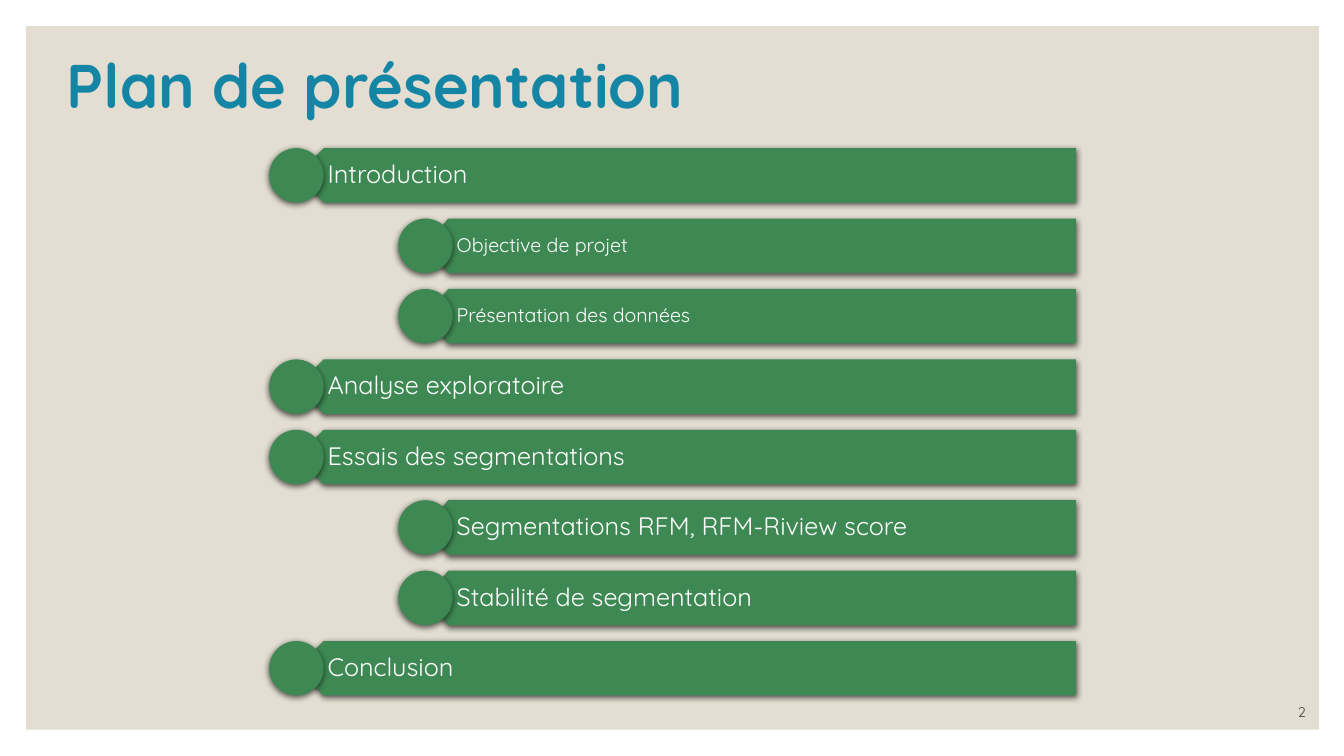
from lxml import etree
from pptx import Presentation, util as u
from pptx.dml.color import RGBColor
from pptx.enum import shapes, text
from pptx.oxml.ns import qn

FONT = "Quicksand"
SAND = RGBColor(0xE3, 0xDE, 0xD1)
BLUE = RGBColor(0x14, 0x85, 0xA4)
GREEN = RGBColor(0x3E, 0x88, 0x53)
GREY = RGBColor(0x40, 0x40, 0x40)
WHITE = RGBColor(0xFF, 0xFF, 0xFF)

BAR_HEIGHT = 0.54
INDENT = 1.28  # step from one outline level to the next
TIP_SHARE = 0.035  # depth of a bar's pointed end, as a share of its width

# Level, wording, text size
OUTLINE = [
    (0, "Introduction", 18),
    (1, "Objective de projet", 14),
    (1, "Présentation des données", 14),
    (0, "Analyse exploratoire", 18),
    (0, "Essais des segmentations", 18),
    (1, "Segmentations RFM, RFM-Riview score", 18),
    (1, "Stabilité de segmentation", 18),
    (0, "Conclusion", 18),
]


def paint(shape, colour):
    shape.shadow.inherit = False
    shape.fill.solid()
    shape.fill.fore_color.rgb = colour
    shape.line.fill.background()


def add_soft_shadow(shape):
    effects = shape._element.spPr.find(qn("a:effectLst"))
    shadow = etree.SubElement(
        effects, qn("a:outerShdw"), blurRad=str(u.Pt(4.5)), dist=str(u.Pt(1.5)),
        dir="5400000", algn="ctr", rotWithShape="0")
    black = etree.SubElement(shadow, qn("a:srgbClr"), val="000000")
    etree.SubElement(black, qn("a:alpha"), val="63000")


def write(shape, wording, size, colour, align=text.PP_ALIGN.LEFT,
          anchor=text.MSO_ANCHOR.TOP, bold=False):
    frame = shape.text_frame
    frame.word_wrap = True
    frame.vertical_anchor = anchor
    para = frame.paragraphs[0]
    para.text = wording
    para.alignment = align
    para.font.name = FONT
    para.font.size = u.Pt(size)
    para.font.bold = bold
    para.font.color.rgb = colour
    return frame


def add_panel(page, left, top, width, height):
    panel = page.shapes.add_shape(
        shapes.MSO_SHAPE.RECTANGLE, *map(u.Inches, (left, top, width, height)))
    paint(panel, SAND)


def add_title(page, left, top, width, height):
    box = page.shapes.add_textbox(*map(u.Inches, (left, top, width, height)))
    write(box, "Plan de présentation", 44, BLUE, bold=True)


def add_page_number(page, left, top, width, height):
    box = page.shapes.add_textbox(*map(u.Inches, (left, top, width, height)))
    write(box, "2", 10, GREY, text.PP_ALIGN.RIGHT, text.MSO_ANCHOR.BOTTOM)


def add_entry(page, left, top, width, wording, size):
    """Place a bar pointed at its left end, with a disc over the point."""
    radius = BAR_HEIGHT / 2
    bar_left, right, bottom = left + radius, left + width, top + BAR_HEIGHT
    shoulder = bar_left + TIP_SHARE * (right - bar_left)

    # Bar
    builder = page.shapes.build_freeform(
        u.Inches(right), u.Inches(bottom), scale=1.0)
    corners = [(shoulder, bottom), (bar_left, top + radius),
               (shoulder, top), (right, top)]
    builder.add_line_segments(
        [(u.Inches(x), u.Inches(y)) for x, y in corners], close=True)
    bar = builder.convert_to_shape()
    paint(bar, GREEN)
    add_soft_shadow(bar)
    frame = write(bar, wording, size, WHITE, anchor=text.MSO_ANCHOR.MIDDLE)
    frame.paragraphs[0].line_spacing = 0.9
    frame.margin_left, frame.margin_right = u.Inches(0.31), u.Inches(0.12)
    frame.margin_top = frame.margin_bottom = u.Inches(0.07)

    # Disc
    disc = page.shapes.add_shape(
        shapes.MSO_SHAPE.OVAL,
        *map(u.Inches, (left, top, BAR_HEIGHT, BAR_HEIGHT)))
    paint(disc, GREEN)
    add_soft_shadow(disc)


def add_outline(page, left, top, width, height):
    pitch = (height - BAR_HEIGHT) / (len(OUTLINE) - 1)
    for row, (level, wording, size) in enumerate(OUTLINE):
        shift = level * INDENT
        add_entry(page, left + shift, top + row * pitch, width - shift,
                  wording, size)


def main():
    deck = Presentation()
    deck.slide_width, deck.slide_height = u.Inches(13.33), u.Inches(7.5)
    page = deck.slides.add_slide(deck.slide_layouts[6])
    add_panel(page, 0.26, 0.26, 12.82, 6.98)
    add_title(page, 0.56, 0.42, 11.32, 1.09)
    add_page_number(page, 11.45, 6.9, 1.6, 0.3)
    add_outline(page, 2.67, 1.47, 8, 5.43)
    deck.save("out.pptx")


if __name__ == "__main__":
    main()
